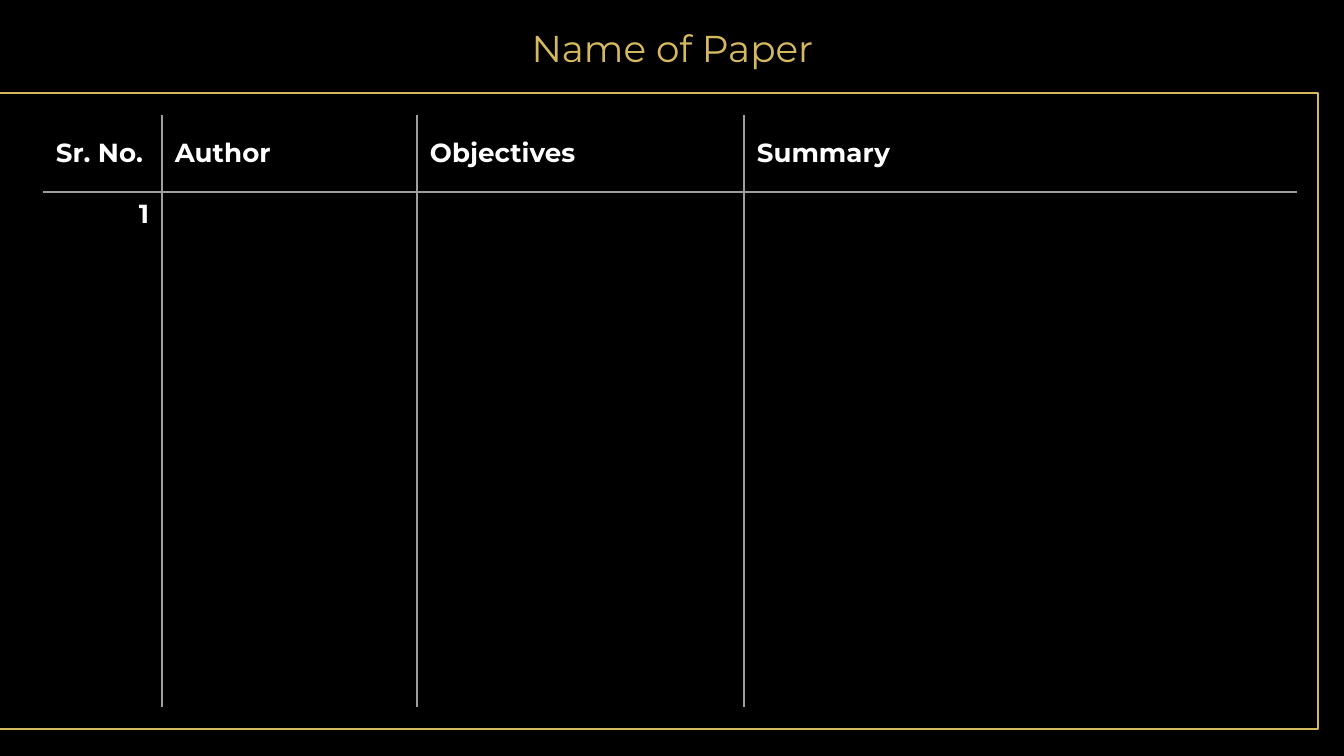
"""Build a literature review slide with a framed paper table."""
from dataclasses import dataclass

from lxml.etree import SubElement
from pptx import Presentation
from pptx.dml.color import RGBColor
from pptx.enum.shapes import MSO_SHAPE
from pptx.enum.text import MSO_ANCHOR as Anchor, MSO_AUTO_SIZE as AutoSize, PP_ALIGN as Align
from pptx.oxml.ns import qn
from pptx.util import Emu, Pt

BLACK = RGBColor(0x00, 0x00, 0x00)
GOLD = RGBColor(0xD5, 0xB9, 0x61)
GRAY = RGBColor(0x9E, 0x9E, 0x9E)
WHITE = RGBColor(0xFF, 0xFF, 0xFF)
FONT = "Montserrat"
RULE_WIDTH = Pt(0.75)
EMU_PER_PX = 914400 / 134.4
INSET = 13


@dataclass(frozen=True)
class Box:
    left: int
    top: int
    width: int
    height: int

    def emu(self) -> tuple:
        return tuple(px(n) for n in (self.left, self.top, self.width, self.height))


@dataclass(frozen=True)
class Column:
    heading: str
    width: int
    entry: str = ""
    entry_align: Align = Align.LEFT


FRAME = Box(-19, 93, 1337, 636)
TITLE = Box(69, 8, 1207, 75)
TABLE = Box(43, 115, 1254, 592)
HEADER_HEIGHT = 77
COLUMNS = (
    Column("Sr. No.", 119, "1", Align.RIGHT),
    Column("Author", 255),
    Column("Objectives", 327),
    Column("Summary", 553),
)


def px(length: int) -> Emu:
    return Emu(round(length * EMU_PER_PX))


def write(text_frame, text: str, *, size: int, color: RGBColor, bold: bool = False,
          align: Align = Align.LEFT) -> None:
    paragraph = text_frame.paragraphs[0]
    paragraph.alignment = align
    run = paragraph.add_run()
    run.text = text
    run.font.name = FONT
    run.font.size = Pt(size)
    run.font.bold = bold
    run.font.color.rgb = color


def rule_cell(cell, sides: dict) -> None:
    properties = cell._tc.get_or_add_tcPr()
    for side, visible in sides.items():
        line = SubElement(properties, qn(f"a:ln{side}"), w=str(RULE_WIDTH))
        if visible:
            fill = SubElement(line, qn("a:solidFill"))
            SubElement(fill, qn("a:srgbClr"), val=str(GRAY))
        else:
            SubElement(line, qn("a:noFill"))


def draw_title(slide) -> None:
    title = slide.shapes.title
    title.left, title.top, title.width, title.height = TITLE.emu()
    frame = title.text_frame
    frame.auto_size = AutoSize.NONE
    frame.word_wrap = True
    frame.vertical_anchor = Anchor.BOTTOM
    frame.margin_left = frame.margin_right = px(INSET)
    frame.margin_top = frame.margin_bottom = px(INSET)
    write(frame, "Name of Paper", size=20, color=GOLD, align=Align.CENTER)


def draw_frame(slide) -> None:
    border = slide.shapes.add_shape(MSO_SHAPE.RECTANGLE, *FRAME.emu())
    border.shadow.inherit = False
    border.fill.background()
    border.line.color.rgb = GOLD
    border.line.width = RULE_WIDTH


def draw_table(slide) -> None:
    papers = slide.shapes.add_table(2, len(COLUMNS), *TABLE.emu()).table
    papers.first_row = papers.horz_banding = False
    papers.rows[0].height = px(HEADER_HEIGHT)
    papers.rows[1].height = px(TABLE.height - HEADER_HEIGHT)
    for index, column in enumerate(COLUMNS):
        papers.columns[index].width = px(column.width)
        heading, entry = papers.cell(0, index), papers.cell(1, index)
        for cell in (heading, entry):
            rule_cell(cell, {"L": index > 0, "R": index < len(COLUMNS) - 1,
                             "T": cell is entry, "B": cell is heading})
            cell.fill.background()
            cell.margin_left = cell.margin_right = px(INSET)
        heading.vertical_anchor = Anchor.MIDDLE
        write(heading.text_frame, column.heading, size=14, color=WHITE, bold=True)
        if column.entry:
            write(entry.text_frame, column.entry, size=14, color=WHITE, bold=True,
                  align=column.entry_align)


def main() -> None:
    deck = Presentation()
    deck.slide_width, deck.slide_height = px(1344), px(756)
    slide = deck.slides.add_slide(deck.slide_layouts[5])
    slide.background.fill.solid()
    slide.background.fill.fore_color.rgb = BLACK
    draw_frame(slide)
    draw_title(slide)
    draw_table(slide)
    deck.save("out.pptx")


if __name__ == "__main__":
    main()
